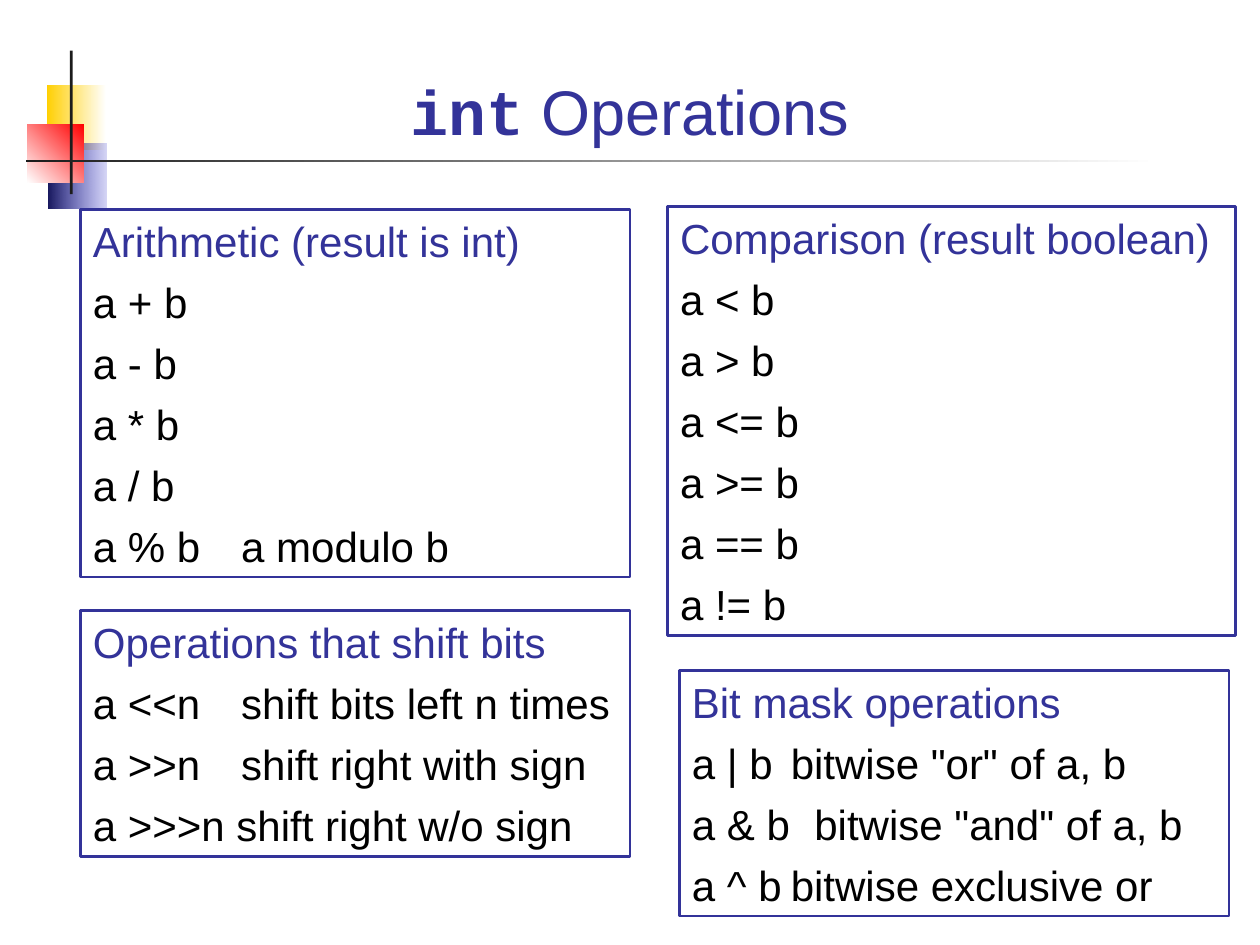
from pptx import Presentation
from pptx.dml.color import RGBColor
from pptx.enum.shapes import MSO_SHAPE as Shape
from pptx.enum.text import MSO_ANCHOR as Anchor, PP_ALIGN as Align
from pptx.oxml.ns import qn
from pptx.util import Pt
from lxml.etree import SubElement

COLORS = {
    "heading": "333399", "text": "000000", "rule": "1C1C1C", "white": "FFFFFF",
    "yellow": "FFCF01", "red": "FF0000", "navy": "17175E", "blue": "3333CC",
}
TAB = 28.25
PANEL_WIDTH = 314
LEFT_COLUMN = 46


def color(name):
    return RGBColor.from_string(COLORS[name])


class SlideStyle:
    body_font = "Arial"
    code_font = "Courier New"
    title_size = 36
    body_size = 24

    def __init__(self, slide):
        self.slide = slide

    def run(self, paragraph, text, size, tint, font=None, bold=False):
        part = paragraph.add_run()
        part.text = text
        part.font.name = font or self.body_font
        part.font.size = Pt(size)
        part.font.bold = bold
        part.font.color.rgb = color(tint)

    def title(self, code, words):
        heading = self.slide.shapes.title
        heading.left, heading.top, heading.width, heading.height = map(Pt, (48, 20, 624, 68.5))
        heading.text_frame.vertical_anchor = Anchor.BOTTOM
        line = heading.text_frame.paragraphs[0]
        line.alignment = Align.CENTER
        self.run(line, code, self.title_size, "heading", self.code_font, bold=True)
        self.run(line, words, self.title_size, "heading")

    def block(self, left, top, width, height):
        block = self.slide.shapes.add_shape(
            Shape.RECTANGLE, Pt(left), Pt(top), Pt(width), Pt(height))
        block.shadow.inherit = False
        return block

    def solid(self, bounds, tint):
        bar = self.block(*bounds)
        bar.line.fill.background()
        bar.fill.solid()
        bar.fill.fore_color.rgb = color(tint)

    def gradient(self, bounds, start, end, angle=180, start_alpha=None):
        """Blend two colours; angle is counter-clockwise, start_alpha in percent."""
        tile = self.block(*bounds)
        tile.line.fill.background()
        tile.fill.gradient()
        tile.fill.gradient_angle = angle
        for stop, tint, position in zip(tile.fill.gradient_stops, (start, end), (0, 1)):
            stop.color.rgb = color(tint)
            stop.position = position
        if start_alpha is not None:
            start_color = next(tile._element.iter(qn("a:gs")))[0]
            SubElement(start_color, qn("a:alpha"), val=str(start_alpha * 1000))

    def panel(self, bounds, heading, rows, tab=None):
        """Outlined box; a row is an expression or (expression, meaning[, own tab])."""
        box = self.block(*bounds)
        box.fill.background()
        box.line.color.rgb = color("heading")
        box.line.width = Pt(1.5)
        frame = box.text_frame
        frame.word_wrap = True
        frame.vertical_anchor = Anchor.TOP
        self.line(frame.paragraphs[0], heading, "heading")
        for row in rows:
            paragraph = frame.add_paragraph()
            paragraph.space_before = Pt(6)
            if isinstance(row, str):
                self.line(paragraph, row, "text")
            else:
                expression, meaning, *own_tab = row
                self.tab_stop(paragraph, own_tab[0] if own_tab else tab)
                self.line(paragraph, f"{expression}\t{meaning}", "text")

    def line(self, paragraph, text, tint):
        paragraph.alignment = Align.LEFT
        paragraph.line_spacing = Pt(28.8)
        self.run(paragraph, text, self.body_size, tint)

    def tab_stop(self, paragraph, position):
        stops = SubElement(paragraph._p.get_or_add_pPr(), qn("a:tabLst"))
        SubElement(stops, qn("a:tab"), pos=str(int(Pt(position))), algn="l")


def main():
    deck = Presentation()
    deck.slide_width, deck.slide_height = Pt(720), Pt(540)
    page = SlideStyle(deck.slides.add_slide(deck.slide_layouts[5]))

    page.gradient((26.6, 48.3, 34, 37.4), "white", "yellow")
    page.gradient((28, 82, 32.6, 37.4), "blue", "navy", start_alpha=20)
    page.gradient((15.6, 71, 32.4, 33.3), "red", "white", angle=225)
    page.solid((40, 29, 1.5, 82), "rule")
    page.gradient((15, 91.3, 646.6, 1.3), "white", "rule")
    page.title("int", " Operations")

    page.panel((LEFT_COLUMN, 119.6, PANEL_WIDTH, 210.2), "Arithmetic (result is int)",
               ["a + b", "a - b", "a * b", "a / b", ("a % b", "a modulo b")],
               tab=3 * TAB)
    page.panel((381.5, 118, 324.7, 245), "Comparison (result boolean)",
               [f"a {sign} b" for sign in ("<", ">", "<=", ">=", "==", "!=")])
    page.panel((LEFT_COLUMN, 349, PANEL_WIDTH, 140.4), "Operations that shift bits",
               [("a <<n", "shift bits left n times"),
                ("a >>n", "shift right with sign"),
                "a >>>n shift right w/o sign"],
               tab=3 * TAB)
    page.panel((388.3, 383, PANEL_WIDTH, 140.4), "Bit mask operations",
               [("a | b", 'bitwise "or" of a, b'),
                ("a & b", 'bitwise "and" of a, b', 70),
                ("a ^ b", "bitwise exclusive or")],
               tab=2 * TAB)

    deck.save("out.pptx")


if __name__ == "__main__":
    main()
